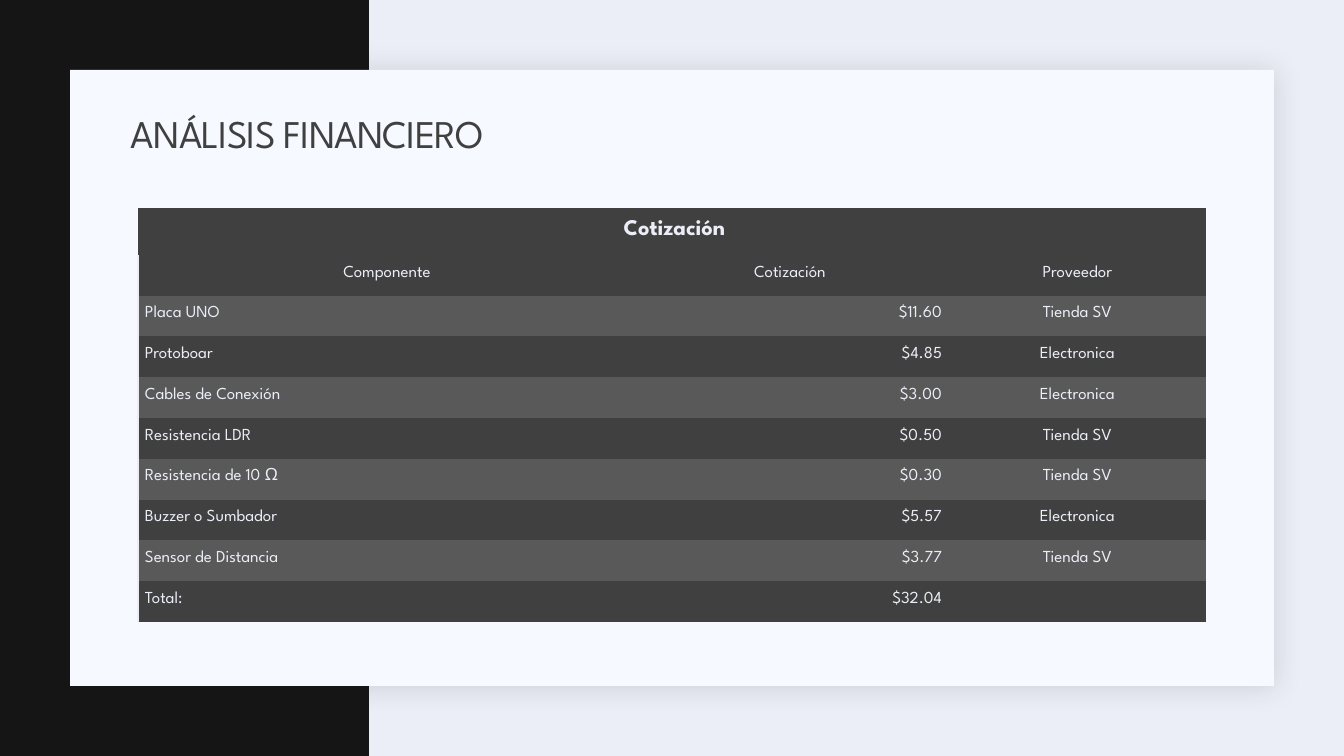
import dataclasses
import typing

import lxml.etree
import pptx
import pptx.dml.color
import pptx.enum.shapes
import pptx.enum.text
import pptx.oxml
import pptx.oxml.ns
import pptx.util

EMU_PER_PX = 12192000 / 1344
FONT = "League Spartan"
PALE = "ECEEF7"
DARK = "404040"
GREY = "595959"
NO_GRID_STYLE = "{2D5ABB26-0587-4C30-8999-92F81FD0307C}"
ALIGN = pptx.enum.text.PP_ALIGN
ANCHOR = pptx.enum.text.MSO_ANCHOR
NS = 'xmlns:a="http://schemas.openxmlformats.org/drawingml/2006/main"'


@dataclasses.dataclass
class Panel:
    x: int
    y: int
    w: int
    h: int
    fill: str
    shadow: bool = False


@dataclasses.dataclass
class Quote:
    component: str
    price: str
    supplier: str


PANELS = [
    Panel(0, 0, 369, 756, "141514"),
    Panel(70, 70, 1204, 616, "F6F9FF", shadow=True),
]
QUOTES = [
    Quote("Placa UNO", "$11.60", "Tienda SV"),
    Quote("Protoboar", "$4.85", "Electronica"),
    Quote("Cables de Conexión", "$3.00", "Electronica"),
    Quote("Resistencia LDR", "$0.50", "Tienda SV"),
    Quote("Resistencia de 10 Ω", "$0.30", "Tienda SV"),
    Quote("Buzzer o Sumbador", "$5.57", "Electronica"),
    Quote("Sensor de Distancia", "$3.77", "Tienda SV"),
    Quote("Total:", "$32.04", ""),
]
COLUMNS = [493, 313, 131, 131]
HEADING_HEIGHT = 47
TABLE_HEIGHT = 414


def px(n: float) -> int:
    return round(n * EMU_PER_PX)


def rgb(value: str) -> pptx.dml.color.RGBColor:
    return pptx.dml.color.RGBColor.from_string(value)


def apply(target: typing.Any, values: dict[str, typing.Any]) -> None:
    for name, value in values.items():
        setattr(target, name, value)


def write(p: typing.Any, text: str, size: int, color: str, bold: bool = False) -> typing.Any:
    r = p.add_run()
    r.text = text
    apply(r.font, {"name": FONT, "size": pptx.util.Pt(size), "bold": bold})
    r.font.color.rgb = rgb(color)
    return r


def add_panel(s: typing.Any, panel: Panel) -> None:
    sp = s.shapes.add_shape(
        pptx.enum.shapes.MSO_SHAPE.RECTANGLE,
        px(panel.x), px(panel.y), px(panel.w), px(panel.h),
    )
    sp.fill.solid()
    sp.fill.fore_color.rgb = rgb(panel.fill)
    sp.line.fill.background()
    sp.shadow.inherit = False
    if panel.shadow:
        effects = sp._element.spPr.find(pptx.oxml.ns.qn("a:effectLst"))
        effects.append(pptx.oxml.parse_xml(
            f'<a:outerShdw {NS} blurRad="254000" dist="25400" dir="2700000" algn="tl" rotWithShape="0">'
            '<a:srgbClr val="1F2125"><a:alpha val="15000"/></a:srgbClr></a:outerShdw>'
        ))


def add_title(s: typing.Any, text: str) -> None:
    tf = s.shapes.add_textbox(px(121), px(104), px(1109), px(64)).text_frame
    apply(tf, {"word_wrap": True, "vertical_anchor": ANCHOR.MIDDLE})
    p = tf.paragraphs[0]
    p.line_spacing = 0.9
    r = write(p, text, 28, DARK)
    r.font._element.set("spc", "-50")


def fill_cell(cell: typing.Any, text: str, align: ALIGN, fill: str,
              size: int = 12, bold: bool = False) -> None:
    cell.fill.solid()
    cell.fill.fore_color.rgb = rgb(fill)
    if text:
        apply(cell, {
            "margin_left": px(7), "margin_top": px(2), "margin_right": px(2),
            "margin_bottom": px(15), "vertical_anchor": ANCHOR.BOTTOM,
        })
        p = cell.text_frame.paragraphs[0]
        p.alignment = align
        write(p, text, size, PALE, bold)


def add_left_border(cell: typing.Any) -> None:
    cell._tc.get_or_add_tcPr().insert(0, pptx.oxml.parse_xml(
        f'<a:lnL {NS} w="12700"><a:solidFill><a:srgbClr val="{PALE}"/></a:solidFill></a:lnL>'
    ))


def add_quotes(s: typing.Any, quotes: list[Quote]) -> None:
    rows = len(quotes) + 2
    table = s.shapes.add_table(
        rows, len(COLUMNS), px(138), px(208), px(sum(COLUMNS)), px(TABLE_HEIGHT)
    ).table
    table._tbl.tblPr.find(pptx.oxml.ns.qn("a:tableStyleId")).text = NO_GRID_STYLE
    for column, width in zip(table.columns, COLUMNS):
        column.width = px(width)
    for row in table.rows:
        row.height = px((TABLE_HEIGHT - HEADING_HEIGHT) / (rows - 1))
    table.rows[0].height = px(HEADING_HEIGHT)

    table.cell(0, 0).merge(table.cell(0, 3))
    fill_cell(table.cell(0, 0), "Cotización", ALIGN.CENTER, DARK, 16, True)
    header = Quote("Componente", "Cotización", "Proveedor")
    for i, quote in enumerate([header, *quotes], start=1):
        fill = DARK if i % 2 else GREY
        aligns = [ALIGN.LEFT, ALIGN.RIGHT, ALIGN.CENTER] if i > 1 else [ALIGN.CENTER] * 3
        if quote.supplier:
            table.cell(i, 2).merge(table.cell(i, 3))
        for j, (text, align) in enumerate(zip(dataclasses.astuple(quote), aligns)):
            fill_cell(table.cell(i, j), text, align, fill)
        fill_cell(table.cell(i, 3), "", ALIGN.CENTER, fill)
        add_left_border(table.cell(i, 0))


def main() -> None:
    prs = pptx.Presentation()
    apply(prs, {"slide_width": px(1344), "slide_height": px(756)})
    s = prs.slides.add_slide(prs.slide_layouts[6])
    s.background.fill.solid()
    s.background.fill.fore_color.rgb = rgb(PALE)
    for panel in PANELS:
        add_panel(s, panel)
    add_title(s, "ANÁLISIS FINANCIERO")
    add_quotes(s, QUOTES)
    prs.save("out.pptx")


if __name__ == "__main__":
    main()
